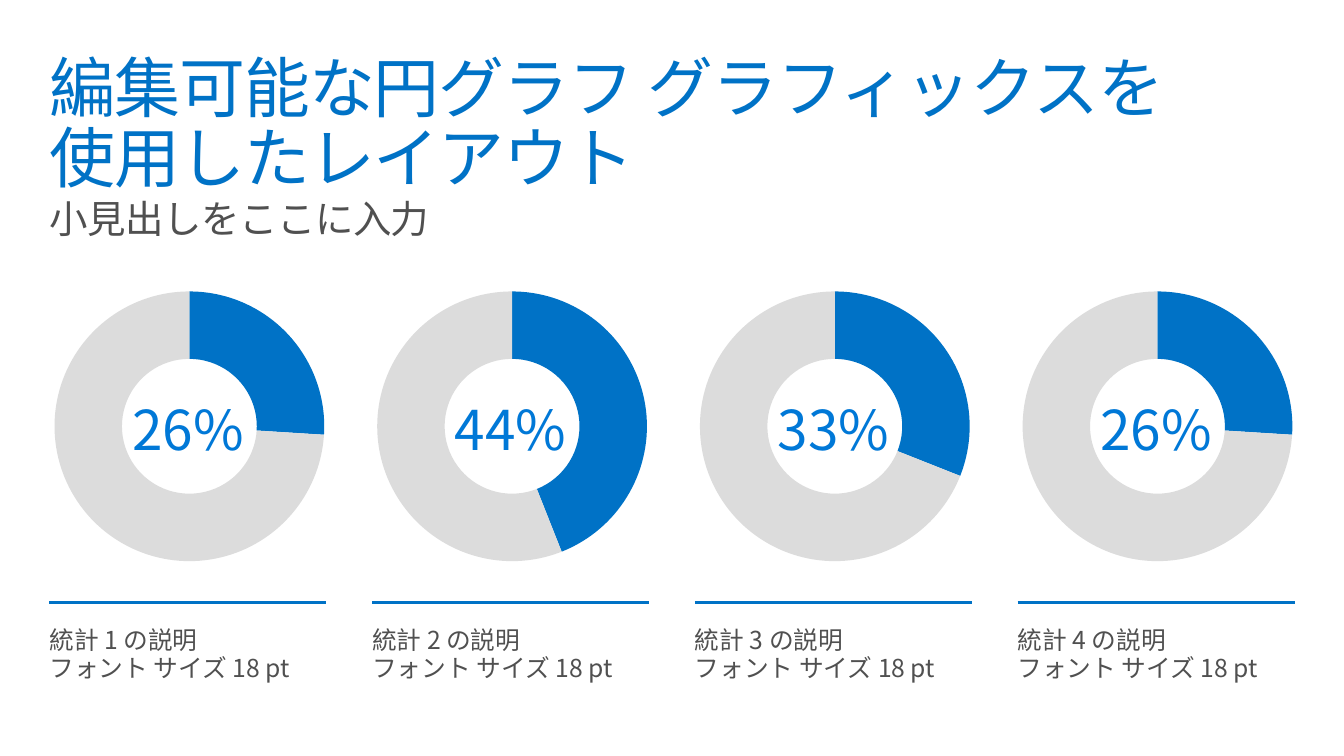
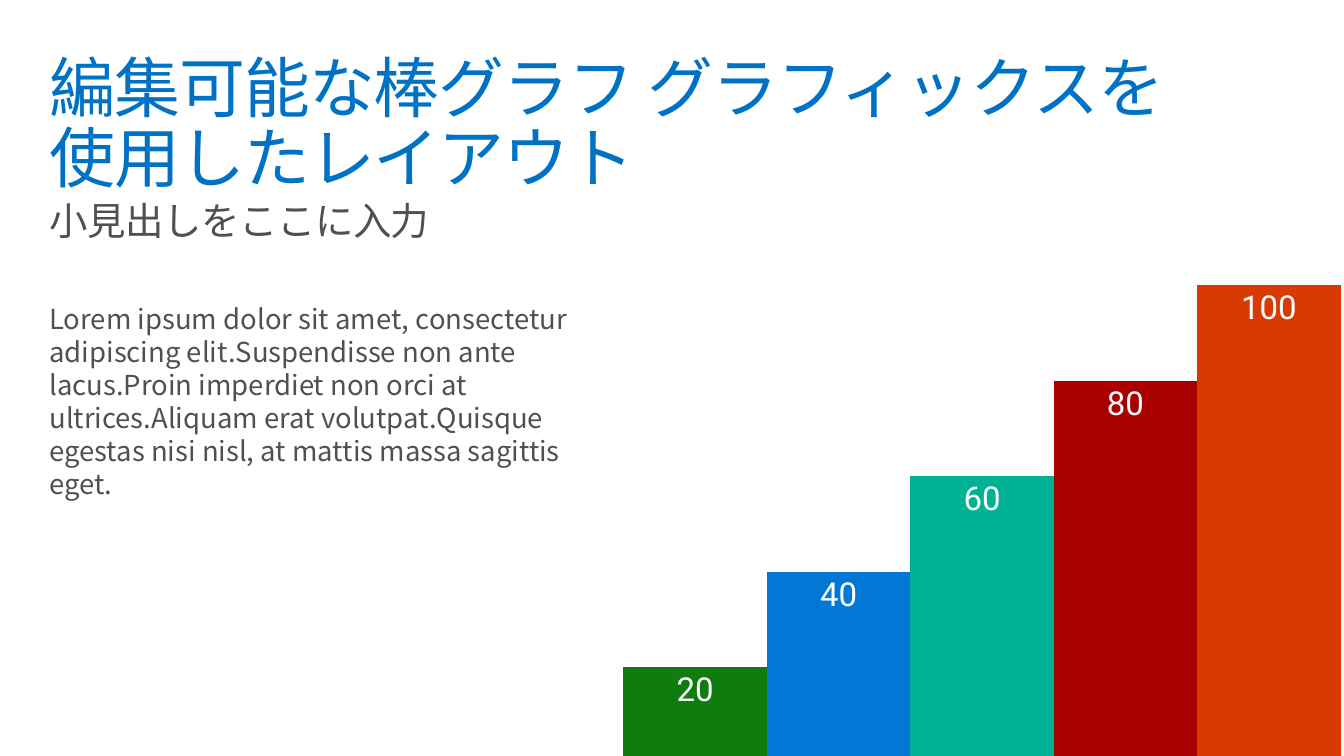
from dataclasses import dataclass

from lxml import etree
from pptx import Presentation
from pptx import util as u
from pptx.chart.data import CategoryChartData
from pptx.dml.color import RGBColor
from pptx.enum import chart as charts, shapes, text
from pptx.oxml import ns, parse_xml

Cm, Pt = u.Cm, u.Pt


@dataclass(frozen=True)
class Theme:
    blue: str = "0072C6"
    bright_blue: str = "0078D7"
    grey: str = "505050"
    light_grey: str = "DCDCDC"
    white: str = "FFFFFF"
    bars: tuple = ("107C10", "0377D6", "00B294", "A80000", "D83B01")
    font: str = "Noto Sans CJK JP"
    chart_font: str = "Roboto"


THEME = Theme()

# size, line pitch and letter spacing in points
STYLES = {
    "title": dict(size=48, pitch=51, color=THEME.blue, tracking=-0.7),
    "subtitle": dict(size=28, pitch=30, color=THEME.grey, tracking=-0.3),
    "body": dict(size=20, pitch=24, color=THEME.grey),
    "caption": dict(size=18, pitch=21, color=THEME.grey),
    "percent": dict(size=40, pitch=54, color=THEME.bright_blue),
}

SUBTITLE = "小見出しをここに入力"
DOUGHNUT_TITLE = ("編集可能な円グラフ グラフィックスを", "使用したレイアウト")
BAR_TITLE = ("編集可能な棒グラフ グラフィックスを", "使用したレイアウト")
BODY = (
    "Lorem ipsum dolor sit amet, consectetur adipiscing elit."
    "Suspendisse non ante lacus.Proin imperdiet non orci at ultrices."
    "Aliquam erat volutpat.Quisque egestas nisi nisl, at mattis massa "
    "sagittis eget."
)
# percentage shown, share drawn, caption lines
STATISTICS = [
    ("26%", 26, ("統計 1 の説明", "フォント サイズ 18 pt")),
    ("44%", 44, ("統計 2 の説明", "フォント サイズ 18 pt")),
    ("33%", 31, ("統計 3 の説明", "フォント サイズ 18 pt")),
    ("26%", 26, ("統計 4 の説明", "フォント サイズ 18 pt")),
]
BAR_VALUES = [20, 40, 60, 80, 100]

SLIDE_WIDTH, SLIDE_HEIGHT = 34.54, 19.43
MARGIN, INSET = 1.02, 0.25
CONTENT_WIDTH = 32.51
DOUGHNUT_SIZE, DOUGHNUT_TOP = 7.62, 7.11
PERCENT_SIZE = 3.81
RULE_TOP, CAPTION_TOP = 15.49, 15.82


def set_attributes(target, values):
    for name, value in values.items():
        setattr(target, name, value)


def rgb(color):
    return RGBColor.from_string(color)


def add_text(slide, style_name, lines, box, inset=INSET, centred=False):
    """Add one paragraph whose lines are parted by line breaks."""
    style = STYLES[style_name]
    frame = slide.shapes.add_textbox(*map(Cm, box)).text_frame
    set_attributes(frame, {
        "word_wrap": True,
        "auto_size": text.MSO_AUTO_SIZE.NONE,
        "vertical_anchor": text.MSO_ANCHOR.MIDDLE if centred else text.MSO_ANCHOR.TOP,
        **{f"margin_{side}": Cm(inset) for side in ("left", "top", "right", "bottom")},
    })
    paragraph = frame.paragraphs[0]
    set_attributes(paragraph, {
        "alignment": text.PP_ALIGN.CENTER if centred else text.PP_ALIGN.LEFT,
        "line_spacing": Pt(style["pitch"]),
    })
    for index, line in enumerate(lines):
        if index:
            paragraph.add_line_break()
        run = paragraph.add_run()
        run.text = line
        set_attributes(run.font, {"size": Pt(style["size"]), "name": THEME.font})
        run.font.color.rgb = rgb(style["color"])
        properties = run.font._element
        properties.set("spc", str(round(style.get("tracking", 0) * 100)))
        latin = properties.find(ns.qn("a:latin"))
        east_asian = etree.Element(ns.qn("a:ea"), typeface=THEME.font)
        latin.addnext(east_asian)


def add_headings(slide, title, subtitle_top):
    add_text(slide, "title", title, (MARGIN, 1.17, CONTENT_WIDTH, 3.7))
    add_text(slide, "subtitle", [SUBTITLE], (MARGIN, subtitle_top, CONTENT_WIDTH, 1.7))


def add_chart(slide, kind, box, categories, series, plot_box, size, color):
    """Add a bare chart whose plot fills plot_box, in fractions of the chart."""
    data = CategoryChartData(number_format="0")
    data.categories = categories
    for index, values in enumerate(series, 1):
        data.add_series(f"Series {index}", values)
    chart = slide.shapes.add_chart(kind, *map(Cm, box), data).chart
    set_attributes(chart, {"has_legend": False, "has_title": False})
    set_attributes(chart.font, {"size": Pt(size), "name": THEME.chart_font})
    chart.font.color.rgb = rgb(color)

    plot_area = chart._chartSpace.chart.plotArea
    for layout in plot_area.findall(ns.qn("c:layout")):
        plot_area.remove(layout)
    sizes = "".join(f'<c:{key} val="{value}"/>' for key, value in zip("xywh", plot_box))
    plot_area.insert(0, parse_xml(
        f'<c:layout {ns.nsdecls("c")}><c:manualLayout><c:layoutTarget val="inner"/>'
        f'<c:xMode val="edge"/><c:yMode val="edge"/>{sizes}'
        "</c:manualLayout></c:layout>"))
    return chart


def paint(target, color):
    target.format.fill.solid()
    target.format.fill.fore_color.rgb = rgb(color)
    target.format.line.fill.background()


def add_doughnut(slide, left, share):
    chart = add_chart(
        slide, charts.XL_CHART_TYPE.DOUGHNUT,
        (left, DOUGHNUT_TOP, DOUGHNUT_SIZE, DOUGHNUT_SIZE),
        ["1", "2"], [(share, 100 - share)], (0.05, 0.05, 0.91, 0.91), 10, THEME.grey)
    plot = chart.plots[0]
    plot._element.find(ns.qn("c:holeSize")).set("val", "75")
    for index, color in enumerate((THEME.blue, THEME.light_grey)):
        paint(plot.series[0].points[index], color)


def add_rule(slide, left, right):
    rule = slide.shapes.add_connector(
        shapes.MSO_CONNECTOR.STRAIGHT, Cm(left), Cm(RULE_TOP), Cm(right), Cm(RULE_TOP))
    rule.line.width = Pt(2.5)
    rule.line.color.rgb = rgb(THEME.blue)
    etree.SubElement(rule._element.spPr, ns.qn("a:effectLst"))


def build_doughnut_slide(slide):
    add_headings(slide, DOUGHNUT_TITLE, 4.9)
    step = (SLIDE_WIDTH - 2 * MARGIN - DOUGHNUT_SIZE) / (len(STATISTICS) - 1)
    centring = (DOUGHNUT_SIZE - PERCENT_SIZE) / 2
    for index, (percent, share, caption) in enumerate(STATISTICS):
        left = MARGIN + index * step
        add_doughnut(slide, left, share)
        add_text(slide, "percent", [percent],
                 (left + centring, DOUGHNUT_TOP + centring, PERCENT_SIZE, PERCENT_SIZE),
                 inset=0, centred=True)
        add_rule(slide, left + INSET, left + DOUGHNUT_SIZE - INSET)
        add_text(slide, "caption", caption, (left, CAPTION_TOP, DOUGHNUT_SIZE, 2.54))


def build_bar_slide(slide):
    add_headings(slide, BAR_TITLE, 4.95)
    chart = add_chart(
        slide, charts.XL_CHART_TYPE.COLUMN_CLUSTERED, (13.72, 4.57, 23.04, 15.34),
        ["1"], [[value] for value in BAR_VALUES], (0.02, 0.02, 0.96, 0.96),
        24, THEME.white)
    set_attributes(chart.value_axis, {
        "minimum_scale": 0, "maximum_scale": 120,
        "has_major_gridlines": False, "visible": False})
    chart.category_axis.visible = False
    plot = chart.plots[0]
    set_attributes(plot, {"gap_width": 100, "overlap": 0, "vary_by_categories": False})
    for series, color in zip(plot.series, THEME.bars):
        paint(series, color)
        labels = series.data_labels
        set_attributes(labels, {
            "show_value": True, "position": charts.XL_LABEL_POSITION.INSIDE_END})
        set_attributes(labels.font, {"size": Pt(24), "name": THEME.chart_font})
        labels.font.color.rgb = rgb(THEME.white)
    add_text(slide, "body", [BODY], (MARGIN, 7.52, 13.97, 5.64))


def main():
    presentation = Presentation()
    set_attributes(presentation, {
        "slide_width": Cm(SLIDE_WIDTH), "slide_height": Cm(SLIDE_HEIGHT)})
    for build in (build_doughnut_slide, build_bar_slide):
        build(presentation.slides.add_slide(presentation.slide_layouts[6]))
    presentation.save("out.pptx")


if __name__ == "__main__":
    main()
